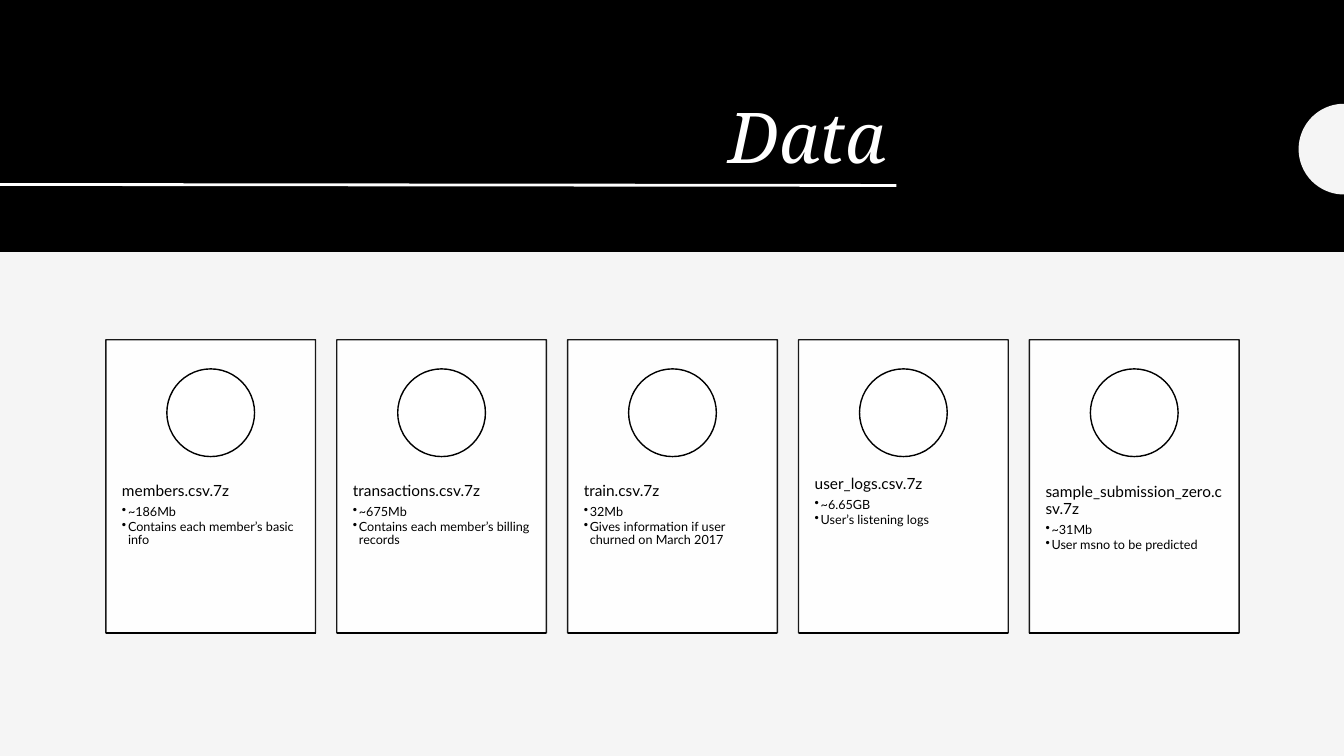
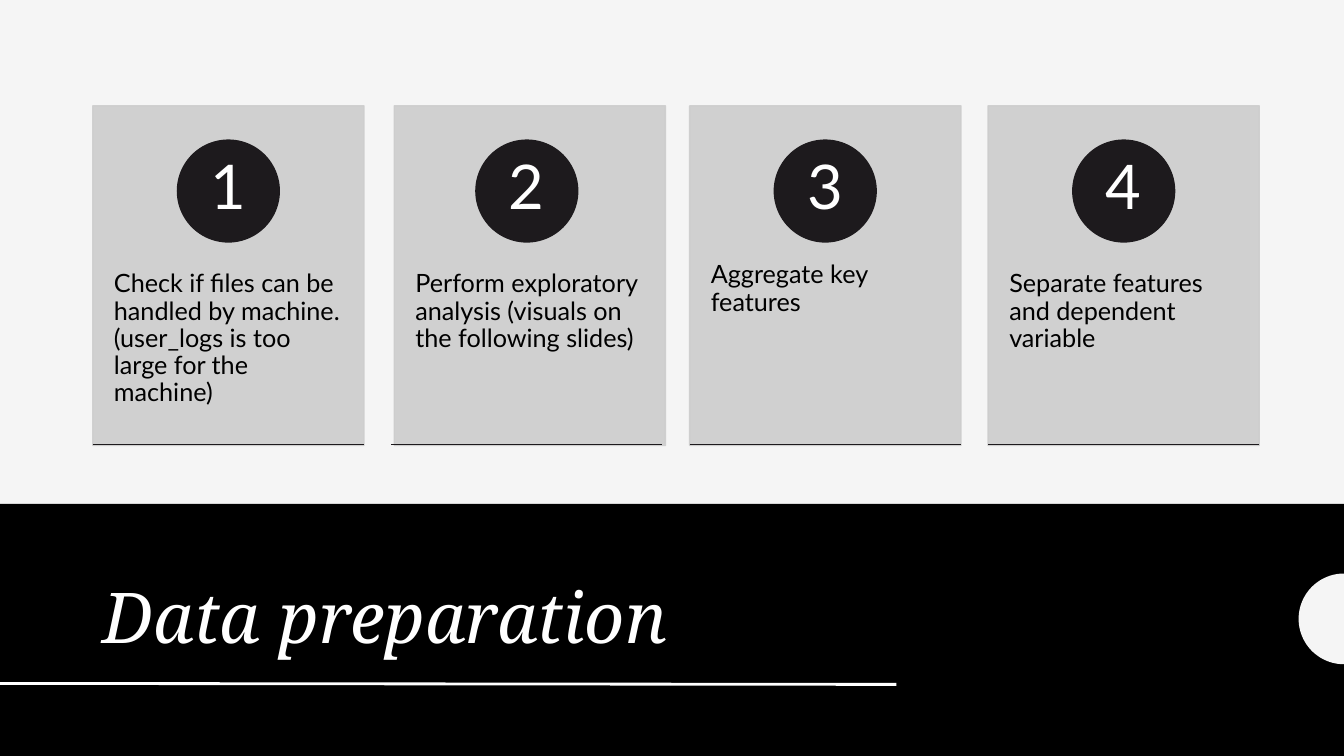
from math import cos, pi, sin

from lxml.etree import SubElement
from pptx import Presentation
from pptx.dml.color import RGBColor
from pptx.enum.shapes import MSO_CONNECTOR, MSO_SHAPE
from pptx.enum.text import MSO_ANCHOR, MSO_AUTO_SIZE, PP_ALIGN
from pptx.oxml.ns import qn
from pptx.util import Inches, Pt

COLORS = {
    "background": "F5F5F5",
    "black": "000000",
    "white": "FFFFFF",
    "panel": "CDCDCD",
    "ink": "1D1A1D",
}
BODY_FONT = "Lato"
TITLE_FONT = "Noto Serif"
SLIDE_WIDTH = 13.33
BAND_HEIGHT = 2.5

FILES = [
    ("members.csv.7z", ["~186Mb", "Contains each member’s basic info"]),
    ("transactions.csv.7z", ["~675Mb", "Contains each member’s billing records"]),
    ("train.csv.7z", ["32Mb", "Gives information if user churned on March 2017"]),
    ("user_logs.csv.7z", ["~6.65GB", "User’s listening logs"]),
    ("sample_submission_zero.csv.7z", ["~31Mb", "User msno to be predicted"]),
]
STEPS = [
    ("Check if files can be handled by machine. (user_logs is too large for the machine)", 0),
    ("Perform exploratory analysis (visuals on the following slides)", 0.03),
    ("Aggregate key features", 0),
    ("Separate features and dependent variable", 0),
]


def color(name):
    """Return the named colour of the palette."""
    return RGBColor.from_string(COLORS[name])


def add_text(frame, text, size, fill="black", font=BODY_FONT, italic=False,
             align=PP_ALIGN.LEFT, after=0, bullet=False):
    """Write one formatted paragraph at the end of a text frame."""
    paragraph = frame.add_paragraph() if frame.text else frame.paragraphs[0]
    paragraph.alignment = align
    paragraph.line_spacing = 0.9
    paragraph.space_after = Pt(after)
    run = paragraph.add_run()
    run.text = text
    run.font.size = Pt(size)
    run.font.name = font
    run.font.italic = italic
    run.font.color.rgb = color(fill)
    if bullet:
        paragraph.level = 1
        properties = paragraph._p.get_or_add_pPr()
        properties.set("marL", str(Inches(0.06)))
        properties.set("indent", str(Inches(-0.06)))
        SubElement(properties, qn("a:buChar")).set("char", "•")


def add_frame(shapes, left, top, width, height, inset_x, inset_y,
              anchor=MSO_ANCHOR.TOP):
    """Add a wrapping text box and return its text frame."""
    box = shapes.add_textbox(Inches(left), Inches(top), Inches(width), Inches(height))
    frame = box.text_frame
    frame.word_wrap = True
    frame.vertical_anchor = anchor
    frame.margin_left = frame.margin_right = Inches(inset_x)
    frame.margin_top = frame.margin_bottom = Inches(inset_y)
    return frame


def paint(shape, fill, line=None, opacity=100):
    """Give a shape its fill, outline and opacity."""
    shape.shadow.inherit = False
    shape.fill.solid()
    shape.fill.fore_color.rgb = color(fill)
    if line:
        shape.line.color.rgb = color(line)
        shape.line.width = Pt(1)
    else:
        shape.line.fill.background()
    if opacity < 100:
        for element in shape.element.spPr.iter(qn("a:srgbClr")):
            SubElement(element, qn("a:alpha")).set("val", str(opacity * 1000))


def add_shape(shapes, kind, left, top, width, height, fill, line=None, opacity=100):
    """Add a painted preset shape."""
    shape = shapes.add_shape(kind, Inches(left), Inches(top), Inches(width), Inches(height))
    paint(shape, fill, line, opacity)


def add_line(shapes, start, end, fill, width):
    """Add a straight line between two points."""
    line = shapes.add_connector(MSO_CONNECTOR.STRAIGHT, *map(Inches, start + end))
    line.line.color.rgb = color(fill)
    line.line.width = Pt(width)
    SubElement(line.element.spPr, qn("a:effectLst"))


def add_half_circle(shapes, center_y, radius=0.45, segments=48):
    """Add the half circle that touches the right edge of the slide."""
    angles = [pi / 2 + pi * step / segments for step in range(segments + 1)]
    points = [(Inches(SLIDE_WIDTH + radius * cos(angle)),
               Inches(center_y - radius * sin(angle))) for angle in angles]
    builder = shapes.build_freeform(*points[0])
    builder.add_line_segments(points[1:], close=True)
    paint(builder.convert_to_shape(), "background")


def add_title_band(slide, text, band_top, circle_y, line_y, box, align):
    """Add the black band with its half circle, rule and title."""
    shapes = slide.shapes
    add_shape(shapes, MSO_SHAPE.RECTANGLE, 0, band_top, SLIDE_WIDTH, BAND_HEIGHT, "black")
    add_line(shapes, (0, line_y), (8.89, line_y + 0.01), "white", 2)
    add_half_circle(shapes, circle_y)
    title = shapes.title
    title.left, title.top, title.width, title.height = map(Inches, box)
    frame = title.text_frame
    frame.auto_size = MSO_AUTO_SIZE.NONE
    frame.word_wrap = True
    frame.vertical_anchor = MSO_ANCHOR.BOTTOM
    add_text(frame, text, 50, "white", TITLE_FONT, italic=True, align=align)
    title.element.getparent().append(title.element)


def add_file_card(slide, left, name, facts):
    """Add a white card that describes one data file."""
    top, width, height, diameter = 3.37, 2.08, 2.91, 0.87
    shapes = slide.shapes.add_group_shape().shapes
    add_shape(shapes, MSO_SHAPE.RECTANGLE, left, top, width, height,
              "white", "black", opacity=90)
    frame = add_frame(shapes, left, 4.47, width, 1.75, 0.16, 0.36)
    add_text(frame, name, 11, after=4)
    for fact in facts:
        add_text(frame, fact, 9, after=1, bullet=True)
    add_shape(shapes, MSO_SHAPE.OVAL, left + (width - diameter) / 2, 3.66,
              diameter, diameter, "white", "black")
    add_line(shapes, (left, top + height), (left + width, top + height), "black", 1)


def add_step_card(slide, left, number, text, panel_shift):
    """Add a grey card with a numbered step."""
    top, width, height, diameter, number_size = 1.05, 2.69, 3.37, 1.01, 0.71
    panel_left = left + panel_shift
    shapes = slide.shapes.add_group_shape().shapes
    add_shape(shapes, MSO_SHAPE.RECTANGLE, panel_left, top, width, height,
              "panel", "panel", opacity=90)
    frame = add_frame(shapes, panel_left, 2.33, width, 2.02, 0.21, 0.36)
    add_text(frame, text, 18)
    add_shape(shapes, MSO_SHAPE.OVAL, left + (width - diameter) / 2, 1.39,
              diameter, diameter, "ink", "ink")
    frame = add_frame(shapes, left + (width - number_size) / 2, 1.53,
                      number_size, number_size, 0.08, 0.01, MSO_ANCHOR.MIDDLE)
    add_text(frame, str(number), 44, "white", align=PP_ALIGN.CENTER)
    add_line(shapes, (left, 4.41), (left + width, 4.41), "ink", 1)


def build_data_slide(slide):
    """Build the overview of the data files."""
    add_title_band(slide, "Data", 0, 1.48, 1.83, (1.05, 0.47, 7.84, 1.35), PP_ALIGN.RIGHT)
    for index, (name, facts) in enumerate(FILES):
        add_file_card(slide, 1.05 + 2.29 * index, name, facts)


def build_preparation_slide(slide):
    """Build the four preparation steps."""
    add_title_band(slide, "Data preparation", 5, 6.14, 6.78,
                   (0.92, 5.19, 7.97, 1.39), PP_ALIGN.LEFT)
    for index, (text, panel_shift) in enumerate(STEPS):
        add_step_card(slide, 0.92 + 2.96 * index, index + 1, text, panel_shift)


def main():
    """Build and save the presentation."""
    presentation = Presentation()
    presentation.slide_width = Inches(SLIDE_WIDTH)
    presentation.slide_height = Inches(7.5)
    background = presentation.slide_master.background.fill
    background.solid()
    background.fore_color.rgb = color("background")
    title_only = presentation.slide_layouts[5]
    for build in (build_data_slide, build_preparation_slide):
        build(presentation.slides.add_slide(title_only))
    presentation.save("out.pptx")


main()
